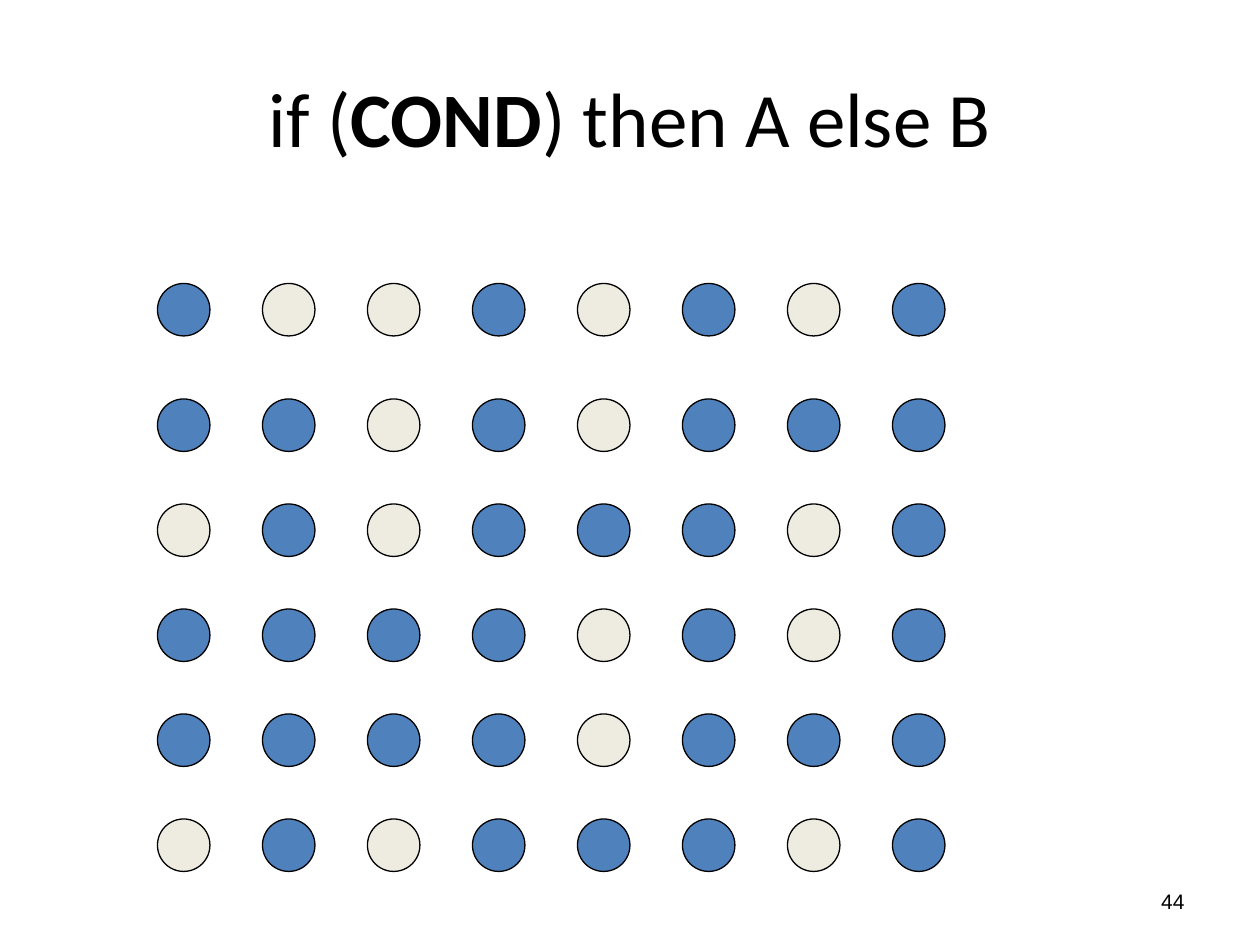
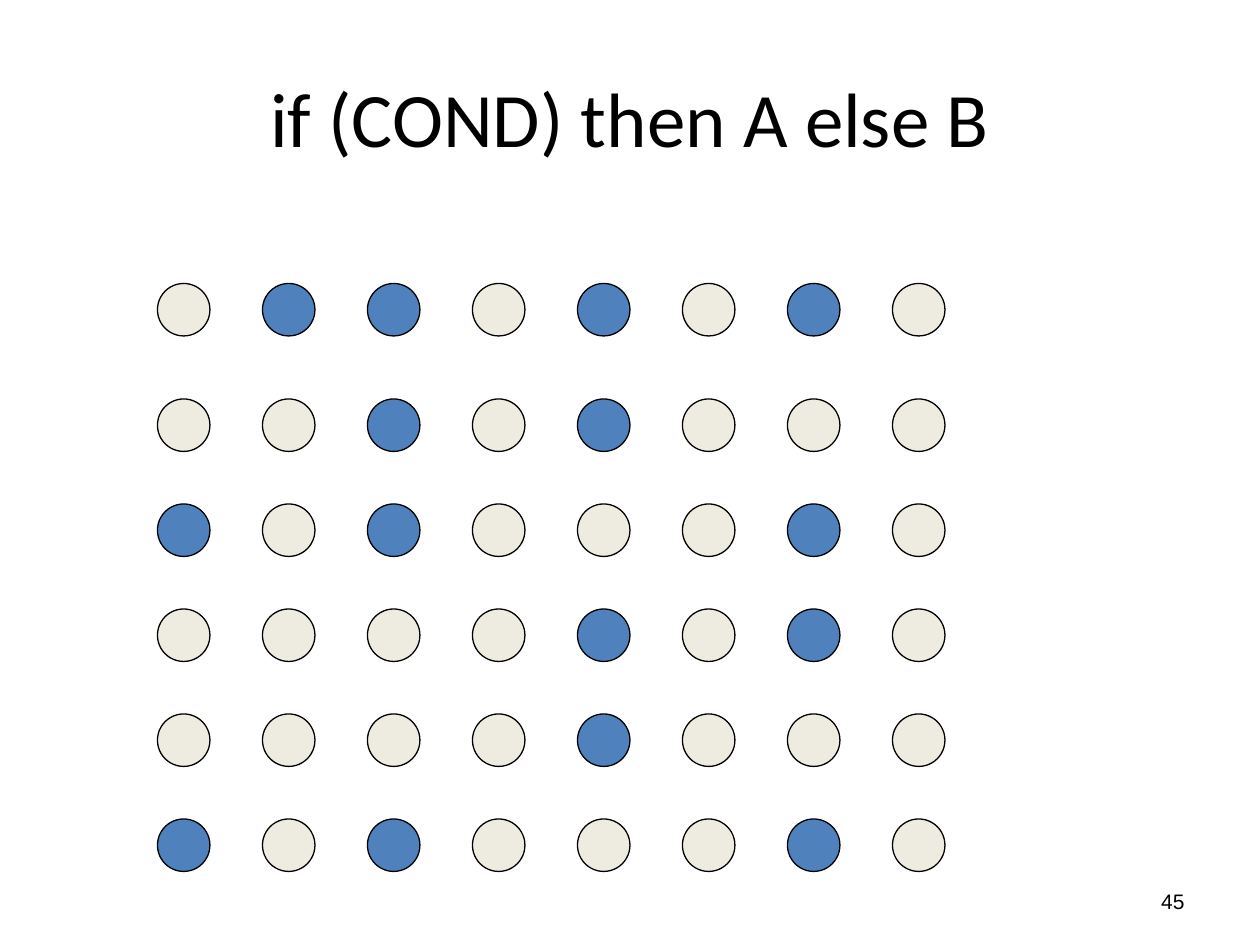
from dataclasses import dataclass

from pptx import Presentation
from pptx.dml.color import RGBColor
from pptx.enum.shapes import MSO_SHAPE
from pptx.enum.text import MSO_ANCHOR, PP_ALIGN
from pptx.util import Inches, Pt


@dataclass(frozen=True)
class Theme:
    ink: RGBColor = RGBColor(0x00, 0x00, 0x00)
    paper: RGBColor = RGBColor(0xFF, 0xFF, 0xFF)
    live: RGBColor = RGBColor(0x4F, 0x81, 0xBD)
    idle: RGBColor = RGBColor(0xEE, 0xEC, 0xE1)
    head_font: str = "Calibri"
    foot_font: str = "Arial"
    head_size: int = 44
    foot_size: int = 12
    line: float = 0.75


# Lanes where the condition holds are marked 1
LANES = ("10010101", "11010111", "01011101", "11110101", "11110111", "01011101")
STEP = 5 / 6
DOT = STEP / 2
LEFT, TOP, LAST = 1.25, 2.25, 6.5


class Deck:
    def __init__(self, theme):
        self.theme = theme
        self.prs = Presentation()
        self.prs.slide_width = Inches(10)
        self.prs.slide_height = Inches(7.5)
        self.slide = None

    def page(self, number, title):
        """Start a slide with its number and title."""
        t = self.theme
        self.slide = self.prs.slides.add_slide(self.prs.slide_layouts[6])
        back = self.slide.background.fill
        back.solid()
        back.fore_color.rgb = t.paper
        self.text((7.17, 6.95, 2.33, 0.4), [(str(number), False)],
                  t.foot_font, t.foot_size, PP_ALIGN.RIGHT)
        self.text((0.5, 0.3, 9, 1.25), title,
                  t.head_font, t.head_size, PP_ALIGN.CENTER)

    def text(self, place, runs, font, size, align):
        """Add one paragraph made of (words, bold) runs."""
        box = self.slide.shapes.add_textbox(*map(Inches, place))
        frame = box.text_frame
        frame.word_wrap = True
        frame.vertical_anchor = MSO_ANCHOR.MIDDLE
        para = frame.paragraphs[0]
        para.alignment = align
        for words, bold in runs:
            run = para.add_run()
            run.text = words
            run.font.name = font
            run.font.size = Pt(size)
            run.font.bold = bold
            run.font.color.rgb = self.theme.ink

    def dot(self, group, x, y, fill):
        """Add one lane circle to a group."""
        dot = group.shapes.add_shape(MSO_SHAPE.OVAL, Inches(x), Inches(y),
                                     Inches(DOT), Inches(DOT))
        dot.shadow.inherit = False
        dot.fill.solid()
        dot.fill.fore_color.rgb = fill
        dot.line.color.rgb = self.theme.ink
        dot.line.width = Pt(self.theme.line)

    def grid(self, active):
        """Draw all lanes, with those equal to active in the live colour."""
        for row, lanes in enumerate(LANES):
            # The first row stands a little apart from the rest
            y = LAST - (len(LANES) - 1 - row) * STEP if row else TOP
            group = self.slide.shapes.add_group_shape()
            for col, lane in enumerate(lanes):
                fill = self.theme.live if lane == active else self.theme.idle
                self.dot(group, LEFT + col * STEP, y, fill)


def main():
    deck = Deck(Theme())

    # Lanes that take branch A
    deck.page(44, [("if (", False), ("COND", True), (") then A else B", False)])
    deck.grid("1")

    # Lanes that take branch B
    deck.page(45, [("if (COND) then A else B", False)])
    deck.grid("0")

    deck.prs.save("out.pptx")


if __name__ == "__main__":
    main()
